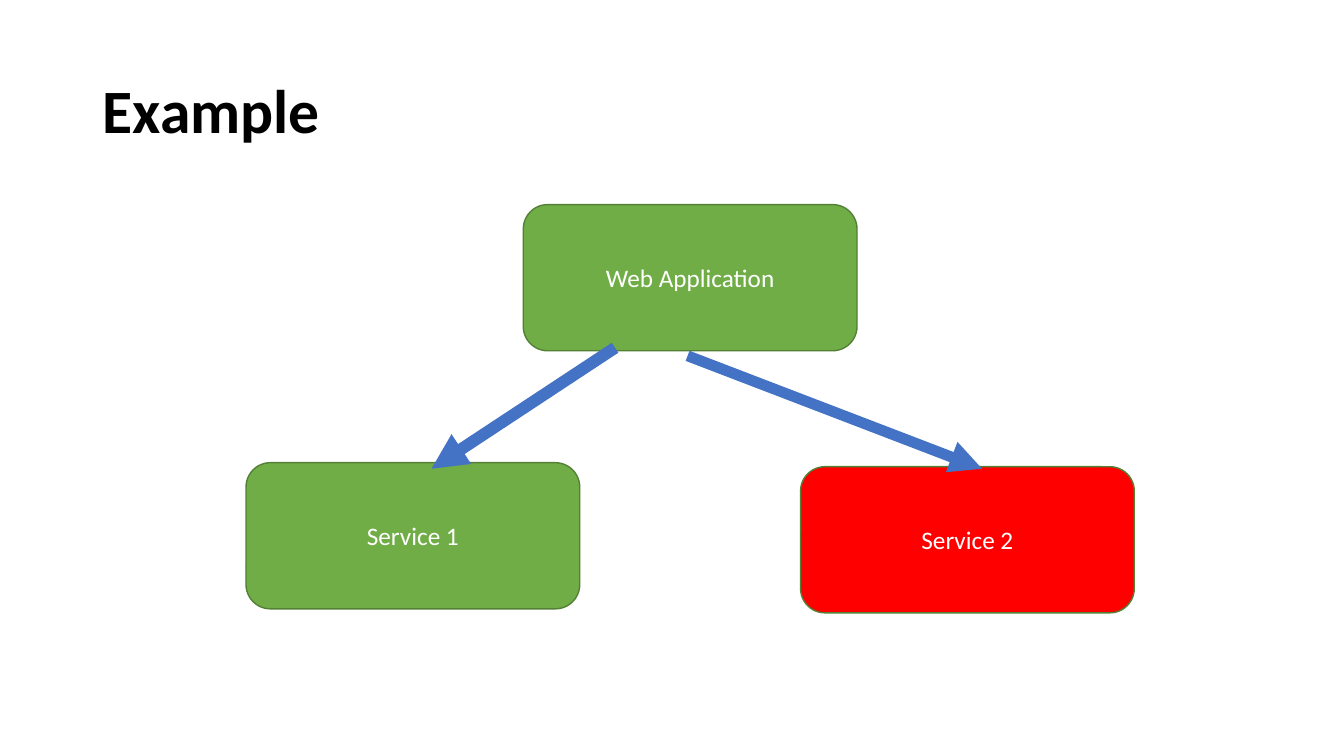
import pptx
import pptx.dml.color
import pptx.enum.shapes
import pptx.enum.text
import pptx.oxml.ns
import pptx.util
from lxml import etree
from pptx.util import Inches

COLORS = {
    "text": "000000",
    "label": "FFFFFF",
    "healthy": "70AD47",
    "failing": "FF0000",
    "outline": "538035",
    "arrow": "4472C4",
}
BOX_WIDTH, BOX_HEIGHT = 3.31, 1.45


def rgb(name):
    return pptx.dml.color.RGBColor.from_string(COLORS[name])


class Diagram:
    """Holds the shared style and the current slide."""

    font_name = "Calibri"

    def __init__(self, slide):
        self.slide = slide

    def style_text(self, frame, size, color, align, bold=False):
        frame.vertical_anchor = pptx.enum.text.MSO_ANCHOR.MIDDLE
        paragraph = frame.paragraphs[0]
        paragraph.alignment = align
        paragraph.font.name = self.font_name
        paragraph.font.size = pptx.util.Pt(size)
        paragraph.font.bold = bold
        paragraph.font.color.rgb = rgb(color)
        return paragraph

    def title(self, text, left, top, width, height):
        heading = self.slide.shapes.title
        heading.left, heading.top = Inches(left), Inches(top)
        heading.width, heading.height = Inches(width), Inches(height)
        heading.text_frame.text = text
        paragraph = self.style_text(heading.text_frame, 44, "text",
                                    pptx.enum.text.PP_ALIGN.LEFT, bold=True)
        paragraph.line_spacing = 0.9

    def box(self, text, left, top, fill):
        node = self.slide.shapes.add_shape(
            pptx.enum.shapes.MSO_SHAPE.ROUNDED_RECTANGLE,
            Inches(left), Inches(top), Inches(BOX_WIDTH), Inches(BOX_HEIGHT))
        node.shadow.inherit = False
        node.fill.solid()
        node.fill.fore_color.rgb = rgb(fill)
        node.line.color.rgb = rgb("outline")
        node.line.width = pptx.util.Pt(1)
        node.text_frame.text = text
        self.style_text(node.text_frame, 18, "label",
                        pptx.enum.text.PP_ALIGN.CENTER)

    def arrow(self, start, end, width):
        link = self.slide.shapes.add_connector(
            pptx.enum.shapes.MSO_CONNECTOR.STRAIGHT,
            *(Inches(value) for value in start + end))
        link.line.color.rgb = rgb("arrow")
        link.line.width = pptx.util.Pt(width)
        qn = pptx.oxml.ns.qn
        outline = link.line._get_or_add_ln()
        etree.SubElement(outline, qn("a:tailEnd"), type="triangle")
        etree.SubElement(link._element.spPr, qn("a:effectLst"))


presentation = pptx.Presentation()
presentation.slide_width = Inches(13.33)
presentation.slide_height = Inches(7.5)
title_only = presentation.slide_layouts[5]
diagram = Diagram(presentation.slides.add_slide(title_only))

# Heading
diagram.title("Example", 0.92, 0.4, 11.5, 1.45)

# Application and the services it calls
for name, left, top, state in (
    ("Web Application", 5.19, 2.03, "healthy"),
    ("Service 1", 2.44, 4.59, "healthy"),
    ("Service 2", 7.94, 4.63, "failing"),
):
    diagram.box(name, left, top, state)

# Calls from the application to each service
diagram.arrow((6.1, 3.45), (4.28, 4.65), 8.5)
diagram.arrow((6.82, 3.53), (9.74, 4.65), 7.75)

presentation.save("out.pptx")
